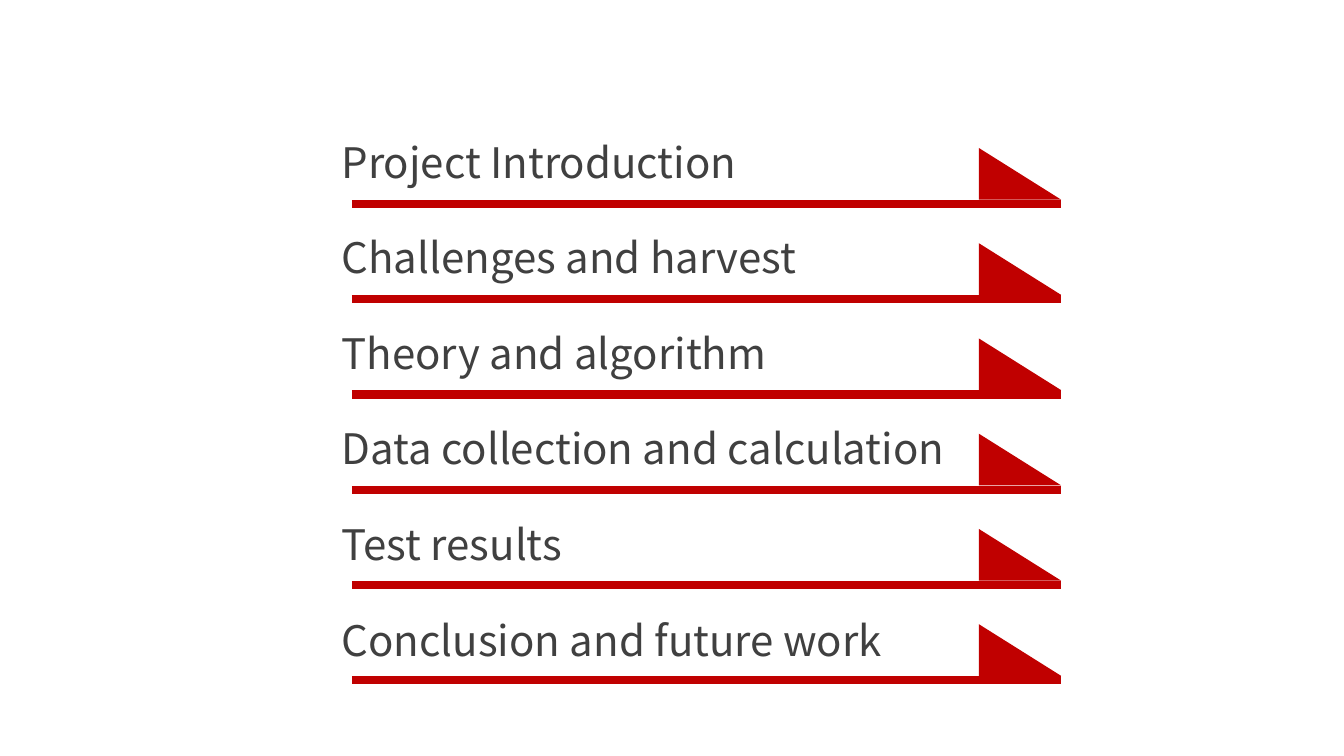
"""Build an agenda slide with six underlined, flagged topics."""
import pptx
import pptx.dml.color
import pptx.enum.shapes
import pptx.enum.text
import pptx.util
from lxml import etree
from pptx.util import Cm

TOPICS = [
    "Project Introduction",
    "Challenges and harvest",
    "Theory and algorithm",
    "Data collection and calculation",
    "Test results",
    "Conclusion and future work",
]
FONT = "Noto Sans CJK SC"
RED = "C00000"
GREY = "404040"

RULE_LEFT, RULE_RIGHT, FIRST_RULE = 8.87, 26.74, 5.14
FLAG_LEFT, FLAG_HEIGHT, FLAG_GAP = 24.67, 1.3, 0.11
RULE_PITCH = 2.4
LABEL_LEFT, FIRST_LABEL, LABEL_PITCH = 8.48, 3.3, 2.41
LABEL_WIDTH, LABEL_HEIGHT, LABEL_INSET = 17.15, 1.53, 0.13


def color(hex_value):
    return pptx.dml.color.RGBColor.from_string(hex_value)


def add_flagged_rule(slide, rule_top):
    group = slide.shapes.add_group_shape()
    rule = group.shapes.add_connector(
        pptx.enum.shapes.MSO_CONNECTOR.STRAIGHT,
        Cm(RULE_LEFT), Cm(rule_top), Cm(RULE_RIGHT), Cm(rule_top),
    )
    rule.line.color.rgb = color(RED)
    rule.line.width = pptx.util.Pt(6)
    etree.SubElement(rule._element.spPr, pptx.oxml.ns.qn("a:effectLst"))

    flag_bottom = rule_top - FLAG_GAP
    outline = group.shapes.build_freeform(Cm(FLAG_LEFT), Cm(flag_bottom))
    outline.add_line_segments([
        (Cm(RULE_RIGHT), Cm(flag_bottom)),
        (Cm(FLAG_LEFT), Cm(flag_bottom - FLAG_HEIGHT)),
    ])
    flag = outline.convert_to_shape()
    flag.shadow.inherit = False
    flag.fill.solid()
    flag.fill.fore_color.rgb = color(RED)
    flag.line.fill.background()


def add_label(slide, topic, top):
    label = slide.shapes.add_textbox(
        Cm(LABEL_LEFT), Cm(top), Cm(LABEL_WIDTH), Cm(LABEL_HEIGHT)
    )
    frame = label.text_frame
    frame.word_wrap = True
    frame.auto_size = pptx.enum.text.MSO_AUTO_SIZE.SHAPE_TO_FIT_TEXT
    frame.margin_left = frame.margin_right = Cm(LABEL_INSET)
    frame.margin_top = frame.margin_bottom = Cm(LABEL_INSET)
    frame.text = topic
    paragraph = frame.paragraphs[0]
    paragraph.alignment = pptx.enum.text.PP_ALIGN.JUSTIFY
    font = paragraph.runs[0].font
    font.name = FONT
    font.size = pptx.util.Pt(30)
    font.color.rgb = color(GREY)


def main():
    presentation = pptx.Presentation()
    presentation.slide_width = Cm(33.87)
    presentation.slide_height = Cm(19.05)
    slide = presentation.slides.add_slide(presentation.slide_layouts[6])
    for index, topic in enumerate(TOPICS):
        add_flagged_rule(slide, FIRST_RULE + index * RULE_PITCH)
        add_label(slide, topic, FIRST_LABEL + index * LABEL_PITCH)
    presentation.save("out.pptx")


if __name__ == "__main__":
    main()
